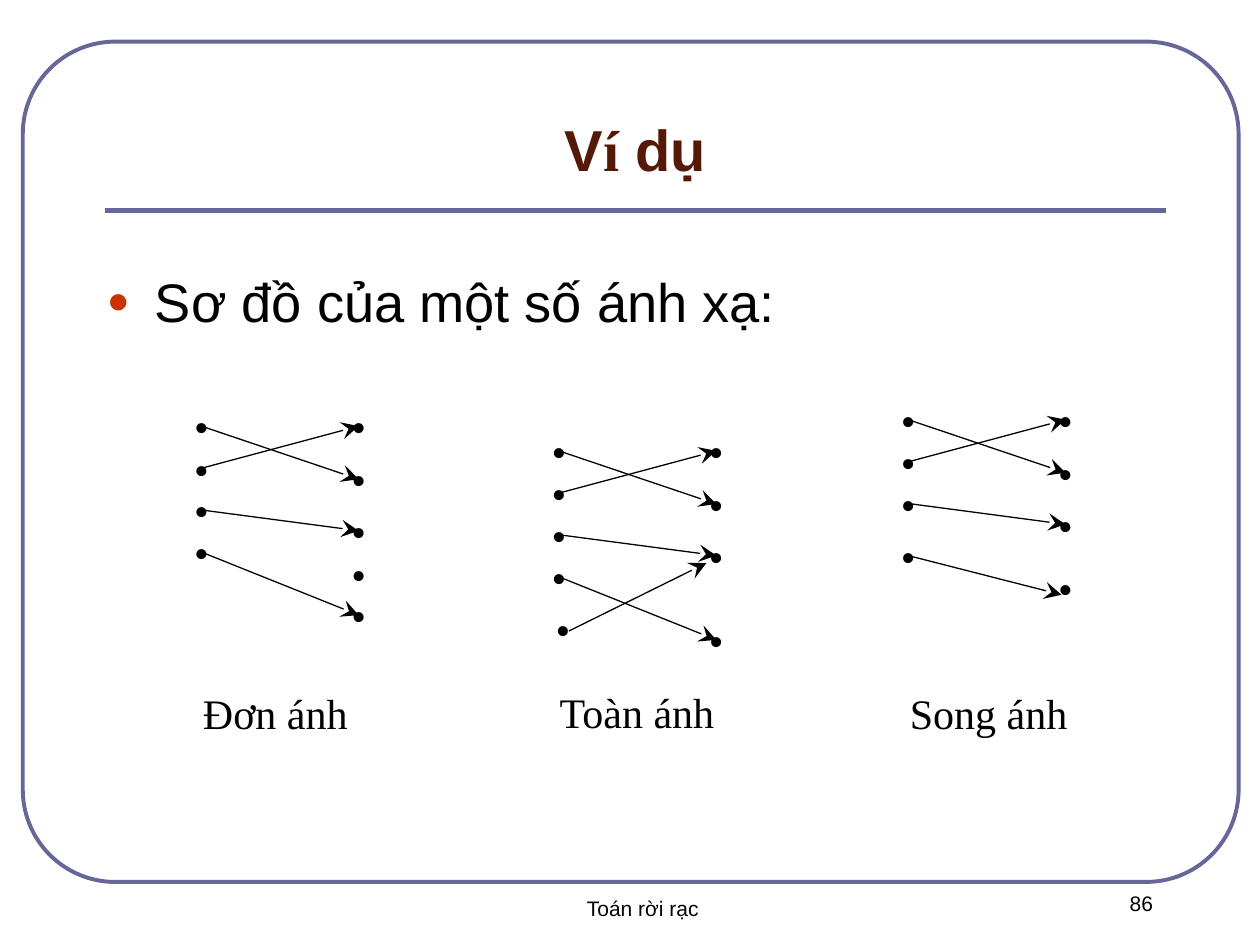
from dataclasses import dataclass

from lxml import etree
from pptx import Presentation
from pptx.dml import color as dml
from pptx.enum import shapes, text
from pptx.oxml import ns
from pptx.util import Cm, Pt


@dataclass(frozen=True)
class Theme:
    frame: str = "666699"
    title: str = "551A07"
    ink: str = "000000"
    bullet: str = "CC3300"
    sans: str = "Arial"
    serif: str = "Times New Roman"
    title_size: float = 33
    body_size: float = 31
    label_size: float = 24
    footer_size: float = 12


@dataclass(frozen=True)
class Box:
    left: float
    top: float
    width: float
    height: float

    def lengths(self) -> tuple:
        return Cm(self.left), Cm(self.top), Cm(self.width), Cm(self.height)


@dataclass(frozen=True)
class Point:
    x: float
    y: float

    def shifted(self, shift: tuple[float, float]) -> "Point":
        return Point(self.x + shift[0], self.y + shift[1])


@dataclass(frozen=True)
class Arrow:
    source: int
    target: int
    start_shift: tuple[float, float] = (0, 0)
    end_shift: tuple[float, float] = (0, 0)


@dataclass(frozen=True)
class Mapping:
    label: str
    label_centre: Point
    origin: Point
    sources: tuple[tuple[float, float], ...]
    targets: tuple[float, ...]
    arrows: tuple[Arrow, ...]


THEME = Theme()
TARGET_DISTANCE = 3.17
DOT_WIDTH = 0.8
LABEL_WIDTH = 3.68
LINE_HEIGHT = 1.27
COMMON_SOURCES = ((0, 0), (0, 0.85), (0, 1.69), (0, 2.54))
COMMON_ARROWS = (Arrow(0, 1), Arrow(1, 0), Arrow(2, 2))

MAPPINGS = (
    Mapping("Đơn ánh", Point(5.55, 14.37), Point(4.06, 8.59), COMMON_SOURCES,
            (0, 1.07, 2.11, 2.97, 3.81), COMMON_ARROWS + (Arrow(3, 4),)),
    Mapping("Toàn ánh", Point(12.84, 14.35), Point(11.27, 9.09),
            COMMON_SOURCES + ((0.08, 3.58),), (0, 1.07, 2.11, 3.81),
            COMMON_ARROWS + (Arrow(3, 3), Arrow(4, 2, (0.12, 0.05), (-0.2, 0.15)))),
    Mapping("Song ánh", Point(19.93, 14.37), Point(18.31, 8.46),
            COMMON_SOURCES[:3] + ((0, 2.74),), (0, 1.07, 2.11, 3.38),
            COMMON_ARROWS + (Arrow(3, 3, (0, 0), (-0.08, 0.15)),)),
)


def write_text(paragraph, content: str, *, font: str, size: float,
               color: str = THEME.ink, bold: bool = False,
               align=text.PP_ALIGN.CENTER) -> None:
    paragraph.alignment = align
    run = paragraph.add_run()
    run.text = content
    run.font.name = font
    run.font.size = Pt(size)
    run.font.bold = bold
    run.font.color.rgb = dml.RGBColor.from_string(color)


def place(shape, box: Box) -> None:
    shape.left, shape.top, shape.width, shape.height = box.lengths()


def add_footer(slide, content: str, box: Box) -> None:
    frame = slide.shapes.add_textbox(*box.lengths()).text_frame
    frame.word_wrap = True
    write_text(frame.paragraphs[0], content, font=THEME.sans, size=THEME.footer_size)


def add_centred_text(slide, content: str, centre: Point, width: float) -> None:
    box = Box(centre.x - width / 2, centre.y - LINE_HEIGHT / 2, width, LINE_HEIGHT)
    frame = slide.shapes.add_textbox(*box.lengths()).text_frame
    frame.word_wrap = False
    frame.vertical_anchor = text.MSO_ANCHOR.MIDDLE
    write_text(frame.paragraphs[0], content, font=THEME.serif, size=THEME.label_size)


def add_line(slide, start: Point, end: Point, *, color: str, width: float,
             arrow: bool = False) -> None:
    connector = slide.shapes.add_connector(
        shapes.MSO_CONNECTOR.STRAIGHT, Cm(start.x), Cm(start.y), Cm(end.x), Cm(end.y))
    connector.line.color.rgb = dml.RGBColor.from_string(color)
    connector.line.width = Pt(width)
    if arrow:
        etree.SubElement(connector.line._get_or_add_ln(), ns.qn("a:tailEnd"),
                         type="stealth", w="lg", len="lg")
    etree.SubElement(connector._element.spPr, ns.qn("a:effectLst"))


def add_frame(slide) -> None:
    shape = slide.shapes.add_shape(shapes.MSO_SHAPE.ROUNDED_RECTANGLE,
                                   *Box(0.46, 0.84, 24.51, 16.94).lengths())
    shape.adjustments[0] = 0.11
    shape.shadow.inherit = False
    shape.fill.background()
    shape.line.color.rgb = dml.RGBColor.from_string(THEME.frame)
    shape.line.width = Pt(2.25)
    add_line(slide, Point(2.11, 4.24), Point(23.5, 4.24), color=THEME.frame, width=3)


def fill_title(shape) -> None:
    place(shape, Box(2.11, 1.07, 21.39, 2.74))
    frame = shape.text_frame
    frame.auto_size = text.MSO_AUTO_SIZE.NONE
    frame.vertical_anchor = text.MSO_ANCHOR.BOTTOM
    for content, font in (("V", THEME.sans), ("í", THEME.serif), (" dụ", THEME.sans)):
        write_text(frame.paragraphs[0], content, font=font, size=THEME.title_size,
                   color=THEME.title, bold=True)


def fill_body(shape) -> None:
    place(shape, Box(1.9, 5.28, 21.54, 1.68))
    frame = shape.text_frame
    frame.auto_size = text.MSO_AUTO_SIZE.NONE
    paragraph = frame.paragraphs[0]
    write_text(paragraph, "Sơ đồ của một số ánh xạ:", font=THEME.sans,
               size=THEME.body_size, align=text.PP_ALIGN.LEFT)
    paragraph.space_before = Pt(7.7)
    properties = paragraph._p.get_or_add_pPr()
    properties.set("marL", str(Cm(0.97)))
    properties.set("indent", str(-Cm(0.97)))
    bullet_color = etree.SubElement(properties, ns.qn("a:buClr"))
    etree.SubElement(bullet_color, ns.qn("a:srgbClr"), val=THEME.bullet)
    etree.SubElement(properties, ns.qn("a:buSzPct"), val="70000")
    etree.SubElement(properties, ns.qn("a:buFont"), typeface=THEME.sans)
    etree.SubElement(properties, ns.qn("a:buChar"), char="●")


def draw_mapping(slide, mapping: Mapping) -> None:
    sources = [mapping.origin.shifted(offset) for offset in mapping.sources]
    targets = [mapping.origin.shifted((TARGET_DISTANCE, drop)) for drop in mapping.targets]
    for dot in sources + targets:
        add_centred_text(slide, "•", dot, DOT_WIDTH)
    for arrow in mapping.arrows:
        add_line(slide, sources[arrow.source].shifted(arrow.start_shift),
                 targets[arrow.target].shifted(arrow.end_shift),
                 color=THEME.ink, width=0.75, arrow=True)
    add_centred_text(slide, mapping.label, mapping.label_centre, LABEL_WIDTH)


def main() -> None:
    presentation = Presentation()
    presentation.slide_width, presentation.slide_height = Cm(25.4), Cm(19.05)
    slide = presentation.slides.add_slide(presentation.slide_layouts[1])
    add_frame(slide)
    fill_title(slide.shapes.title)
    fill_body(slide.placeholders[1])
    add_footer(slide, "86", Box(21.41, 17.83, 3.2, 1.27))
    add_footer(slide, "Toán rời rạc", Box(6.65, 17.93, 12.62, 1.27))
    for mapping in MAPPINGS:
        draw_mapping(slide, mapping)
    presentation.save("out.pptx")


if __name__ == "__main__":
    main()
